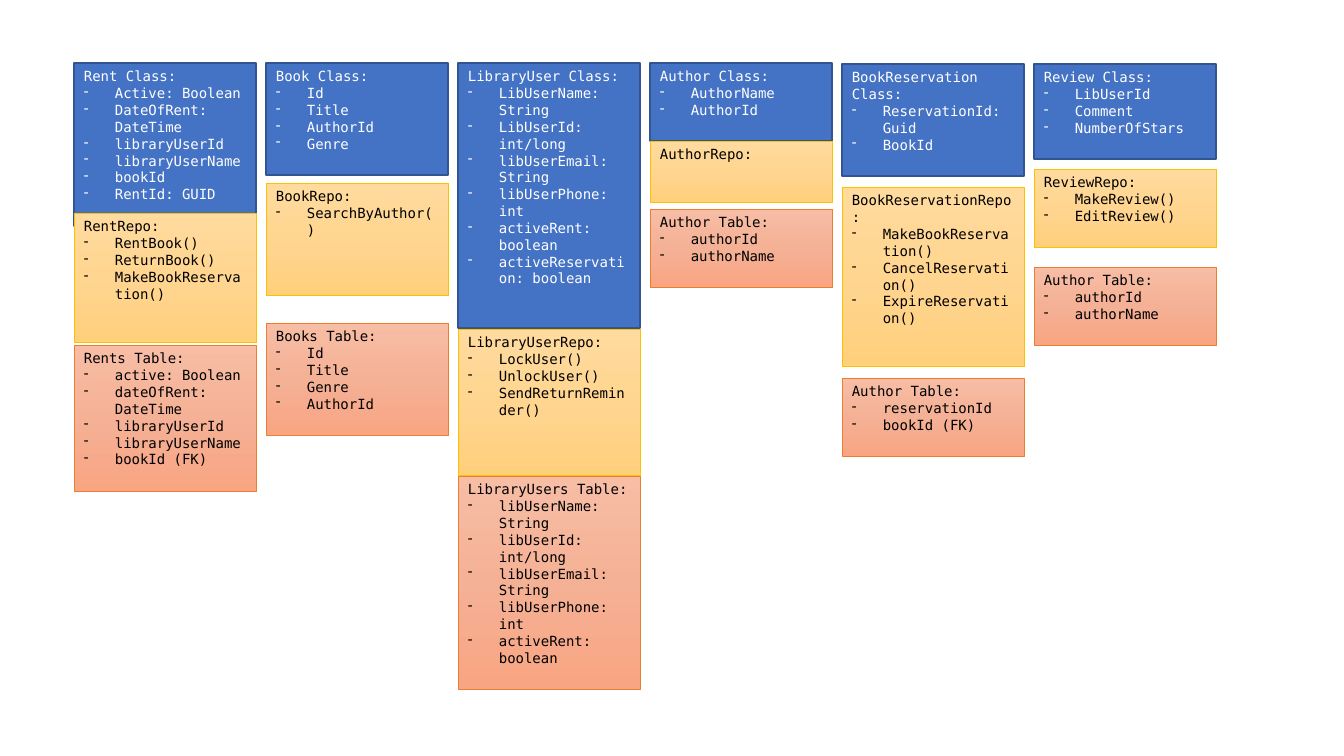
from copy import deepcopy

from pptx import Presentation
from pptx.dml.color import RGBColor
from pptx.enum import shapes, text
from pptx.oxml import ns, xmlchemy
from pptx.util import Emu, Pt

WHITE = RGBColor(0xFF, 0xFF, 0xFF)
BLACK = RGBColor(0x00, 0x00, 0x00)
BLUE = RGBColor(0x44, 0x72, 0xC4)
NAVY = RGBColor(0x32, 0x54, 0x91)
GOLD = RGBColor(0xFF, 0xC0, 0x00)
ORANGE = RGBColor(0xED, 0x7D, 0x31)
YELLOWS = [RGBColor(0xFF, 0xDB, 0x9E), RGBColor(0xFF, 0xD5, 0x90), RGBColor(0xFF, 0xD0, 0x7C)]
SALMONS = [RGBColor(0xF7, 0xBD, 0xA5), RGBColor(0xF5, 0xB1, 0x96), RGBColor(0xF8, 0xA5, 0x82)]

# Fill colours, line colour, line width, text colour of the class, repo and table boxes
CLASS = ([BLUE], NAVY, 1, WHITE)
REPO = (YELLOWS, GOLD, 0.5, BLACK)
TABLE = (SALMONS, ORANGE, 0.5, BLACK)

FONT = "DejaVu Sans Mono"
LEFT, PITCH, WIDTH, INDENT = 74, 192, 182, 31

# Per column, the class, repo and table boxes: top, height, heading, members
COLUMNS = [
    [(63, 163, "Rent Class:", ["Active: Boolean", "DateOfRent: DateTime", "libraryUserId",
                               "libraryUserName", "bookId", "RentId: GUID"]),
     (213, 129, "RentRepo:", ["RentBook()", "ReturnBook()", "MakeBookReservation()"]),
     (345, 146, "Rents Table:", ["active: Boolean", "dateOfRent: DateTime", "libraryUserId",
                                 "libraryUserName", "bookId (FK)"])],
    [(63, 112, "Book Class:", ["Id", "Title", "AuthorId", "Genre"]),
     (183, 112, "BookRepo:", ["SearchByAuthor()"]),
     (323, 112, "Books Table:", ["Id", "Title", "Genre", "AuthorId"])],
    [(63, 265, "LibraryUser Class:", ["LibUserName: String", "LibUserId: int/long",
                                      "libUserEmail: String", "libUserPhone: int",
                                      "activeRent: boolean", "activeReservation: boolean"]),
     (329, 146, "LibraryUserRepo:", ["LockUser()", "UnlockUser()", "SendReturnReminder()"]),
     (476, 213, "LibraryUsers Table:", ["libUserName: String", "libUserId: int/long",
                                        "libUserEmail: String", "libUserPhone: int",
                                        "activeRent: boolean"])],
    [(63, 78, "Author Class:", ["AuthorName", "AuthorId"]),
     (141, 61, "AuthorRepo:", []),
     (209, 78, "Author Table:", ["authorId", "authorName"])],
    [(64, 112, "BookReservation Class:", ["ReservationId: Guid", "BookId"]),
     (187, 179, "BookReservationRepo:", ["MakeBookReservation()", "CancelReservation()",
                                         "ExpireReservation()"]),
     (378, 78, "Author Table:", ["reservationId", "bookId (FK)"])],
    [(64, 95, "Review Class:", ["LibUserId", "Comment", "NumberOfStars"]),
     (169, 78, "ReviewRepo:", ["MakeReview()", "EditReview()"]),
     (267, 78, "Author Table:", ["authorId", "authorName"])],
]


def px(n):
    return Emu(round(n * 914400 / 100.8))


def paint(sp, colors):
    """Fill with one colour, or with three running from top to bottom."""
    if len(colors) == 1:
        sp.fill.solid()
        sp.fill.fore_color.rgb = colors[0]
        return
    sp.fill.gradient()
    sp.fill.gradient_angle = 270
    first = sp._element.spPr.find(".//" + ns.qn("a:gs"))
    first.addnext(deepcopy(first))
    for i, (stop, color) in enumerate(zip(sp.fill.gradient_stops, colors)):
        stop.position = i / 2
        stop.color.rgb = color


def add_dash(p):
    pPr = p._p.get_or_add_pPr()
    pPr.set("marL", str(px(INDENT)))
    pPr.set("indent", str(-px(INDENT)))
    bullet = xmlchemy.OxmlElement("a:buChar")
    bullet.set("char", "-")
    pPr.append(bullet)


def add_box(group, left, top, width, height, heading, members, style):
    colors, line, weight, ink = style
    sp = group.shapes.add_shape(shapes.MSO_SHAPE.RECTANGLE,
                                px(left), px(top), px(width), px(height))
    sp.shadow.inherit = False
    paint(sp, colors)
    sp.line.color.rgb = line
    sp.line.width = Pt(weight)

    # Heading, then one dashed line per member
    tf = sp.text_frame
    tf.word_wrap = True
    tf.vertical_anchor = text.MSO_ANCHOR.TOP
    tf.text = "\n".join([heading, *members])
    for i, p in enumerate(tf.paragraphs):
        p.alignment = text.PP_ALIGN.LEFT
        if i:
            add_dash(p)
        for r in p.runs:
            r.font.name = FONT
            r.font.size = Pt(10)
            r.font.color.rgb = ink


def add_column(slide, left, width, boxes):
    group = slide.shapes.add_group_shape()
    for (top, height, heading, members), style in zip(boxes, (CLASS, REPO, TABLE)):
        add_box(group, left, top, width, height, heading, members, style)


prs = Presentation()
prs.slide_width, prs.slide_height = px(1344), px(756)
slide = prs.slides.add_slide(prs.slide_layouts[6])
for i, boxes in enumerate(COLUMNS):
    add_column(slide, LEFT + i * PITCH, WIDTH, boxes)
prs.save("out.pptx")
